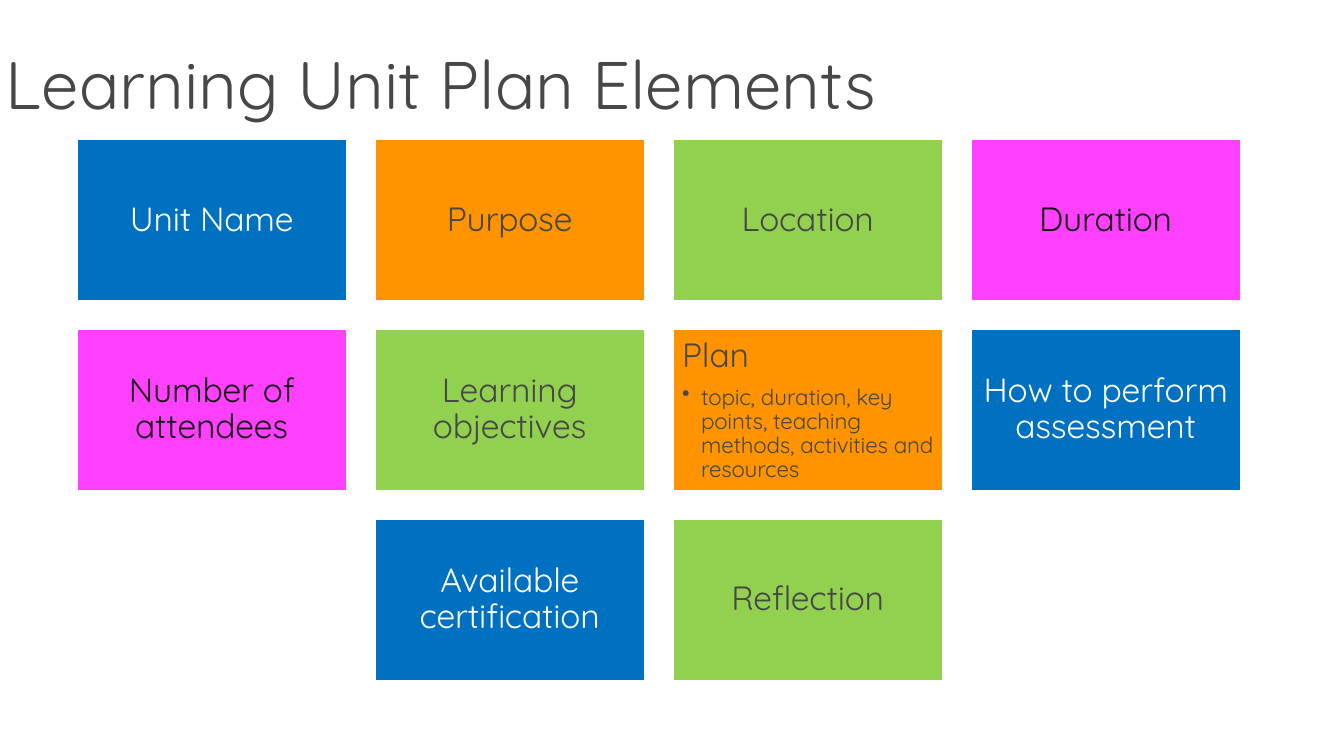
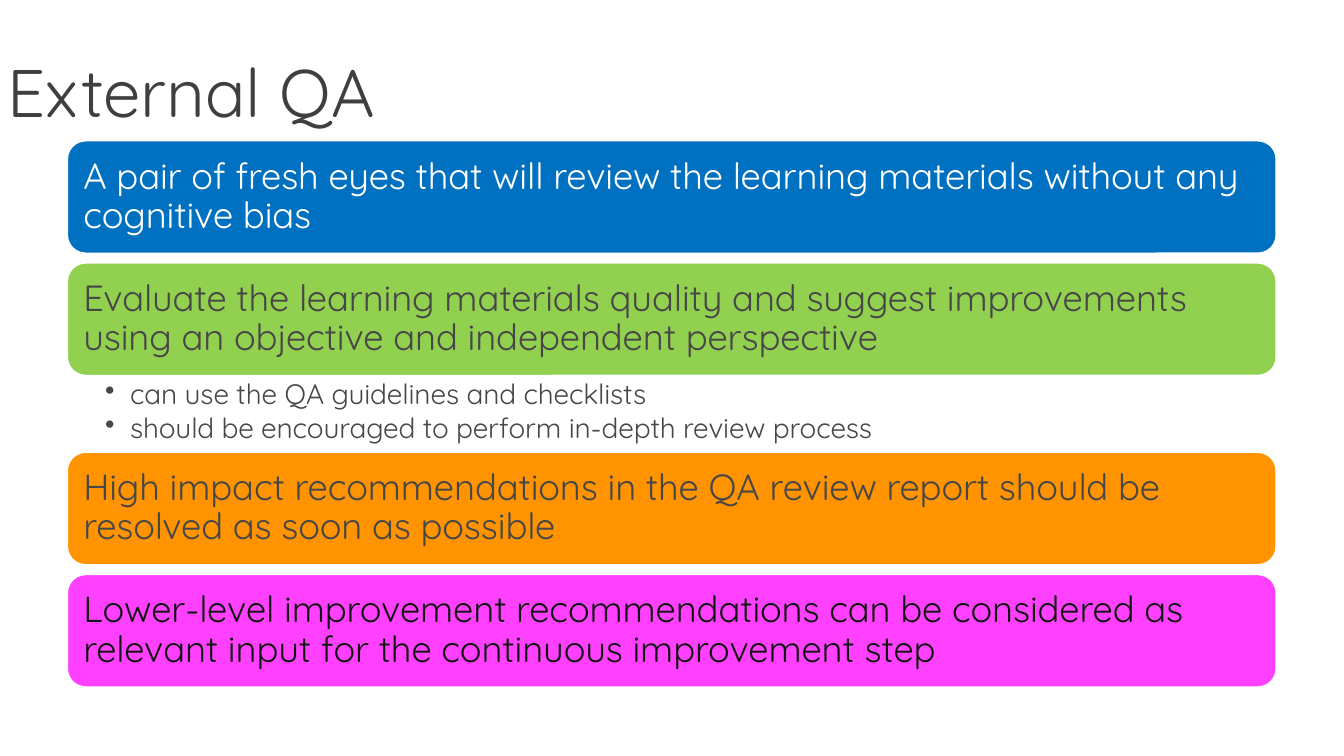
"""Build two slides: the learning unit plan elements and the external QA points."""
from lxml.etree import SubElement
from pptx import Presentation
from pptx.dml.color import RGBColor
from pptx.enum.shapes import MSO_SHAPE
from pptx.enum.text import MSO_ANCHOR, PP_ALIGN
from pptx.oxml.ns import qn
from pptx.util import Cm, Pt

BLUE, ORANGE, GREEN, PINK = "0070C0", "FF9300", "92D050", "FF40FF"
WHITE, GREY, BLACK = "FFFFFF", "484747", "151515"
TEXT_ON = {BLUE: WHITE, ORANGE: GREY, GREEN: GREY, PINK: BLACK}


def add_frame(slide, left, top, width, height, inset, outline=None, fill=None):
    """Add a filled shape, or a plain text box without an outline, and return its text frame."""
    place = Cm(left), Cm(top), Cm(width), Cm(height)
    if outline is None:
        frame = slide.shapes.add_textbox(*place).text_frame
    else:
        panel = slide.shapes.add_shape(outline, *place)
        panel.shadow.inherit = False
        panel.fill.solid()
        panel.fill.fore_color.rgb = RGBColor.from_string(fill)
        panel.line.color.rgb = RGBColor.from_string(WHITE)
        panel.line.width = Pt(2)
        frame = panel.text_frame
    frame.word_wrap = True
    frame.margin_left = frame.margin_right = Cm(inset)
    frame.margin_top = frame.margin_bottom = Cm(inset)
    frame.vertical_anchor = MSO_ANCHOR.TOP if outline is None else MSO_ANCHOR.MIDDLE
    return frame


def write(frame, text, size=24, colour=GREY, align=PP_ALIGN.LEFT, spacing=0.9,
          after=0, hang=0, tracking=-10):
    """Write one paragraph; a hanging indent in cm makes it a bullet."""
    paragraph = frame.paragraphs[0]
    if paragraph.runs:
        paragraph = frame.add_paragraph()
    paragraph.alignment = align
    paragraph.line_spacing = spacing
    paragraph.space_after = Pt(after)
    if hang:
        paragraph.level = 1
        properties = paragraph._p.get_or_add_pPr()
        properties.set("marL", str(Cm(hang)))
        properties.set("indent", str(-Cm(hang)))
        SubElement(properties, qn("a:buChar"), char="•")
    run = paragraph.add_run()
    run.text = text
    run.font.name = "Quicksand"
    run.font.size = Pt(size)
    run.font.color.rgb = RGBColor.from_string(colour)
    run._r.get_or_add_rPr().set("spc", str(tracking))


deck = Presentation()
deck.slide_width, deck.slide_height = Cm(33.87), Cm(19.05)
slides = []
for title, left, top, colour in [
    ("Learning Unit Plan Elements", 0, 0.91, GREY),
    ("External QA", 0.03, 1.12, "403F3F"),
]:
    slide = deck.slides.add_slide(deck.slide_layouts[6])
    heading = add_frame(slide, left, top, 30, 2.36, 0.15)
    write(heading, title, size=48, colour=colour, spacing=1, tracking=0)
    slides.append(slide)
elements_slide, qa_slide = slides

element_rows = [
    [("Unit Name", BLUE), ("Purpose", ORANGE), ("Location", GREEN), ("Duration", PINK)],
    [("Number of attendees", PINK), ("Learning objectives", GREEN), ("Plan", ORANGE),
     ("How to perform assessment", BLUE)],
    [("Available certification", BLUE), ("Reflection", GREEN)],
]
plan_details = "topic, duration, key points, teaching methods, activities and resources"
card_width, card_height, card_gap = 6.83, 4.1, 0.68
for row, elements in enumerate(element_rows):
    first_column = (4 - len(elements)) / 2
    for column, (element, fill) in enumerate(elements, 0):
        card = add_frame(
            elements_slide,
            1.92 + (first_column + column) * (card_width + card_gap),
            3.5 + row * (card_height + card_gap),
            card_width, card_height, 0.25, MSO_SHAPE.RECTANGLE, fill)
        if element == "Plan":
            card.vertical_anchor = MSO_ANCHOR.TOP
            write(card, element, after=8)
            write(card, plan_details, size=16, hang=0.48)
        else:
            write(card, element, colour=TEXT_ON[fill], align=PP_ALIGN.CENTER)

qa_points = [
    ("A pair of fresh eyes that will review the learning materials without any cognitive bias",
     BLUE, []),
    ("Evaluate the learning materials quality and suggest improvements using an objective and "
     "independent perspective", GREEN,
     ["can use the QA guidelines and checklists",
      "should be encouraged to perform in-depth review process"]),
    ("High impact recommendations in the QA review report should be resolved as soon as possible",
     ORANGE, []),
    ("Lower-level improvement recommendations can be considered as relevant input for the "
     "continuous improvement step", PINK, []),
]
bar_left, bar_width, bar_height, bar_gap, details_height = 1.68, 30.5, 2.87, 0.21, 1.9
top = 3.53
for point, fill, details in qa_points:
    bar = add_frame(qa_slide, bar_left, top, bar_width, bar_height, 0.28,
                    MSO_SHAPE.ROUNDED_RECTANGLE, fill)
    write(bar, point, size=26, colour=TEXT_ON[fill])
    top += bar_height
    if details:
        detail_list = add_frame(qa_slide, bar_left, top, bar_width, details_height, 0.1)
        detail_list.margin_left = Cm(0.97)
        for detail in details:
            write(detail_list, detail, size=20, after=3, hang=0.63)
        top += details_height
    else:
        top += bar_gap

deck.save("out.pptx")
